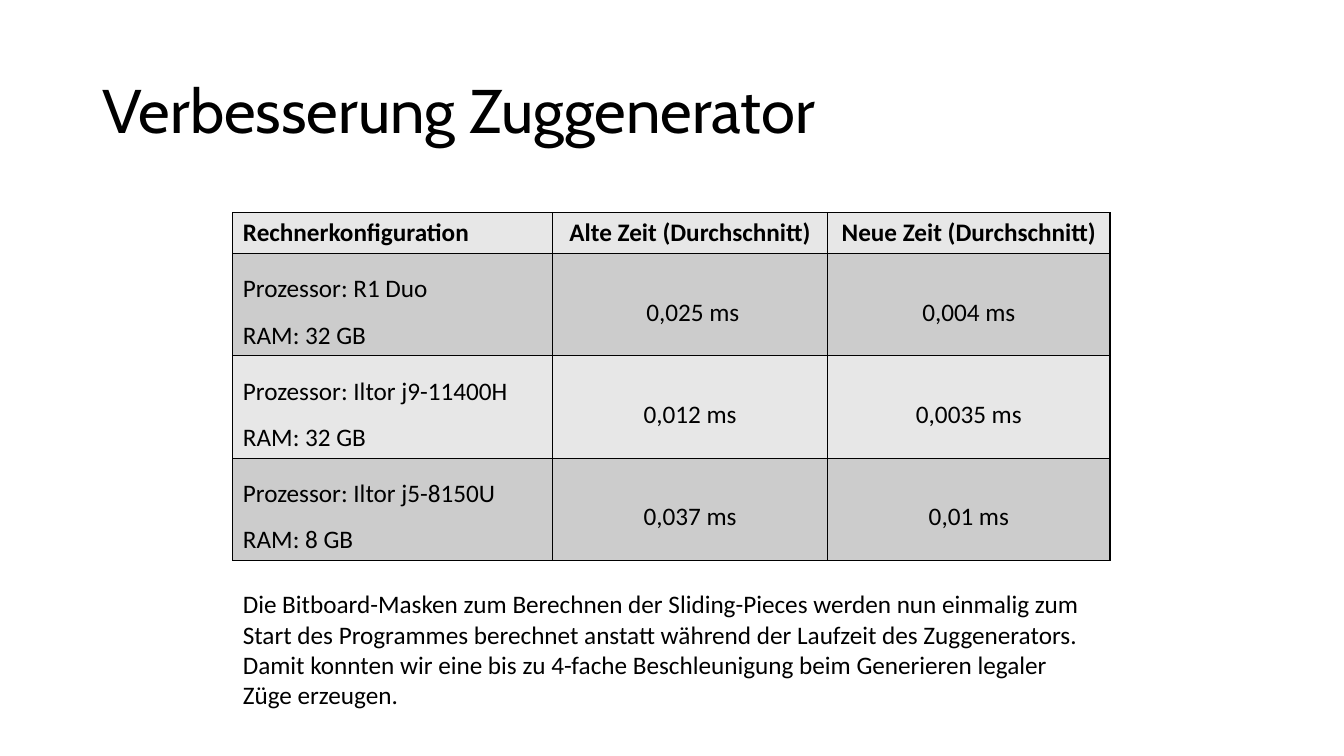
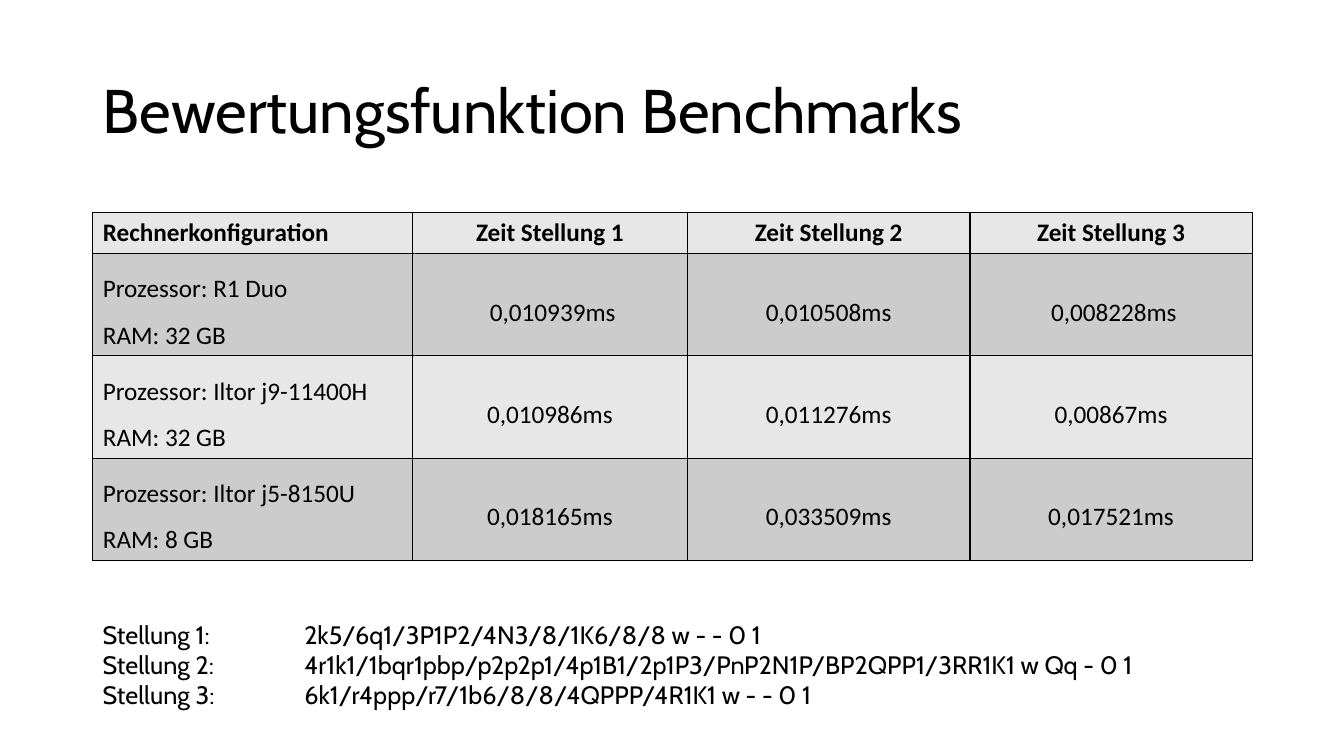
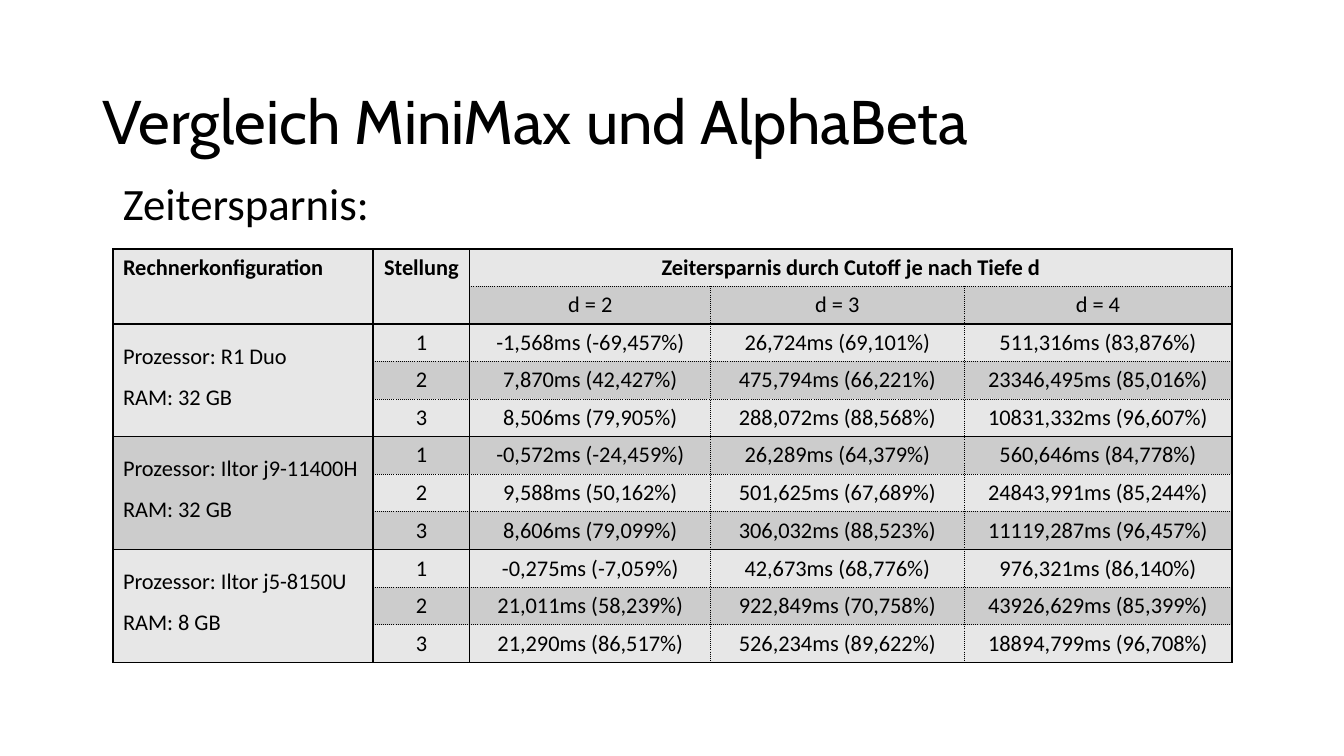
"""Builds three benchmark slides for a chess engine."""
from dataclasses import dataclass

from lxml import etree
from pptx import Presentation
from pptx import util as u
from pptx.dml.color import RGBColor
from pptx.enum import text
from pptx.oxml import ns

PX = 9144


@dataclass(frozen=True)
class Theme:
    """Colours, fonts and type sizes that the slides share."""
    ink: str = "000000"
    bands: tuple = ("E7E7E7", "CCCCCC")
    heading_font: str = "Cabin"
    body_font: str = "Calibri"
    title_size: int = 44
    subtitle_size: int = 32
    body_size: int = 18
    compact_size: int = 16
    solid_line: tuple = (1, "solid")
    dotted_line: tuple = (0.5, "sysDot")


THEME = Theme()
TITLE_BOX = (92, 40, 1150, 145)
COMPUTERS = (
    "Prozessor: R1 Duo\nRAM: 32 GB",
    "Prozessor: Iltor j9-11400H\nRAM: 32 GB",
    "Prozessor: Iltor j5-8150U\nRAM: 8 GB",
)
OLD_AND_NEW_TIMES = (
    (" 0,025 ms", "0,004 ms"),
    ("0,012 ms", "0,0035 ms"),
    ("0,037 ms", "0,01 ms"),
)
POSITION_TIMES = (
    (" 0,010939ms", "0,010508ms", " 0,008228ms"),
    ("0,010986ms", "0,011276ms", "0,00867ms"),
    ("0,018165ms", "0,033509ms", "0,017521ms"),
)
SAVINGS = (
    ("-1,568ms (-69,457%)", "26,724ms (69,101%)", "511,316ms (83,876%)"),
    ("7,870ms (42,427%)", "475,794ms (66,221%)", "23346,495ms (85,016%)"),
    ("8,506ms (79,905%)", "288,072ms (88,568%)", "10831,332ms (96,607%)"),
    ("-0,572ms (-24,459%)", "26,289ms (64,379%)", "560,646ms (84,778%)"),
    ("9,588ms (50,162%)", "501,625ms (67,689%)", "24843,991ms (85,244%)"),
    ("8,606ms (79,099%)", "306,032ms (88,523%)", "11119,287ms (96,457%)"),
    ("-0,275ms (-7,059%)", "42,673ms (68,776%)", "976,321ms (86,140%)"),
    ("21,011ms (58,239%)", "922,849ms (70,758%)", "43926,629ms (85,399%)"),
    ("21,290ms (86,517%)", "526,234ms (89,622%)", "18894,799ms (96,708%)"),
)
MASK_NOTE = (
    "Die Bitboard-Masken zum Berechnen der Sliding-Pieces werden nun einmalig "
    "zum Start des Programmes berechnet anstatt während der Laufzeit des "
    "Zuggenerators.\n"
    "Damit konnten wir eine bis zu 4-fache Beschleunigung beim Generieren "
    "legaler Züge erzeugen."
)
POSITION_NOTE = (
    "Stellung 1:\t2k5/6q1/3P1P2/4N3/8/1K6/8/8 w - - 0 1\n"
    "Stellung 2:\t4r1k1/1bqr1pbp/p2p2p1/4p1B1/2p1P3/PnP2N1P/BP2QPP1/3RR1K1 w Qq - 0 1\n"
    "Stellung 3:\t6k1/r4ppp/r7/1b6/8/8/4QPPP/4R1K1 w - - 0 1"
)


def to_emu(box):
    """Turns px lengths into EMU."""
    return [u.Emu(length * PX) for length in box]


def assign(target, values):
    """Sets attributes from a dict of format values."""
    for name, value in values.items():
        setattr(target, name, value)


def write(frame, content, font, layout=None):
    """Fills a text frame, one paragraph a line, with one format."""
    frame.text = content
    for paragraph in frame.paragraphs:
        assign(paragraph, layout or {})
        for run in paragraph.runs:
            assign(run.font, font)
            run.font.color.rgb = RGBColor.from_string(THEME.ink)


def add_titled_slide(presentation, title, box=TITLE_BOX):
    """Adds a title-only slide and places its title in the box."""
    slide = presentation.slides.add_slide(presentation.slide_layouts[5])
    shape = slide.shapes.title
    assign(shape, dict(zip(("left", "top", "width", "height"), to_emu(box))))
    write(shape.text_frame, title,
          {"name": THEME.heading_font, "size": u.Pt(THEME.title_size)},
          {"alignment": text.PP_ALIGN.LEFT, "line_spacing": 0.9})
    assign(shape.text_frame, {"vertical_anchor": text.MSO_ANCHOR.MIDDLE,
                              "auto_size": text.MSO_AUTO_SIZE.NONE})
    return slide


def add_note(slide, box, content, font_name=THEME.body_font, size=THEME.body_size, wrap=True):
    """Adds a plain text box and returns its text frame."""
    frame = slide.shapes.add_textbox(*to_emu(box)).text_frame
    write(frame, content, {"name": font_name, "size": u.Pt(size)})
    assign(frame, {"word_wrap": wrap, "auto_size": text.MSO_AUTO_SIZE.SHAPE_TO_FIT_TEXT})
    return frame


def set_tab_stop(frame, position):
    """Gives every paragraph one left tab stop."""
    for paragraph in frame.paragraphs:
        stops = etree.SubElement(paragraph._p.get_or_add_pPr(), ns.qn("a:tabLst"))
        etree.SubElement(stops, ns.qn("a:tab"), pos=str(position * PX), algn="l")


def draw_border(cell, tag, line):
    """Draws one side of a table cell."""
    width, dash = line
    border = etree.SubElement(cell._tc.get_or_add_tcPr(), ns.qn(f"a:{tag}"), w=str(u.Pt(width)))
    fill = etree.SubElement(border, ns.qn("a:solidFill"))
    etree.SubElement(fill, ns.qn("a:srgbClr"), val=THEME.ink)
    etree.SubElement(border, ns.qn("a:prstDash"), val=dash)


def add_banded_table(slide, origin, widths, heights, rows, size=THEME.body_size,
                     merges=(), spaced_columns=None, dotted_rows=(), dotted_columns=()):
    """Adds a table with grey bands and ruled or dotted cell borders."""
    box = (*origin, sum(widths), sum(heights))
    table = slide.shapes.add_table(len(rows), len(widths), *to_emu(box)).table
    assign(table, {"first_row": False, "horz_banding": False})
    for column, width in zip(table.columns, to_emu(widths)):
        column.width = width
    for table_row, height in zip(table.rows, to_emu(heights)):
        table_row.height = height
    for first, last in merges:
        table.cell(*first).merge(table.cell(*last))
    for row, contents in enumerate(rows):
        for column, content in enumerate(contents):
            cell = table.cell(row, column)
            bottom = row + (cell.span_height if cell.is_merge_origin else 1)
            right = column + (cell.span_width if cell.is_merge_origin else 1)
            for tag, edge, dotted in (("lnL", column, dotted_columns), ("lnR", right, dotted_columns),
                                      ("lnT", row, dotted_rows), ("lnB", bottom, dotted_rows)):
                draw_border(cell, tag, THEME.dotted_line if edge in dotted else THEME.solid_line)
            cell.fill.solid()
            cell.fill.fore_color.rgb = RGBColor.from_string(THEME.bands[row % 2])
            if content is None:
                continue
            is_value = row > 0 and column > 0
            is_spaced = row > 0 and (spaced_columns is None or column in spaced_columns)
            write(cell.text_frame, content,
                  {"name": THEME.body_font, "size": u.Pt(size), "bold": row == 0},
                  {"alignment": text.PP_ALIGN.CENTER if column else text.PP_ALIGN.LEFT,
                   "line_spacing": 1.5 if is_spaced else 1.0})
            cell.vertical_anchor = text.MSO_ANCHOR.MIDDLE if is_value else text.MSO_ANCHOR.TOP


def add_computer_table(slide, origin, widths, headings, times):
    """Adds a table with one row of times for each computer."""
    rows = [("Rechnerkonfiguration", *headings)]
    rows += [(computer, *values) for computer, values in zip(COMPUTERS, times)]
    add_banded_table(slide, origin, widths, (40, 101, 101, 101), rows)


def add_savings_table(slide, origin):
    """Adds the table of time saved by position and search depth."""
    rows = [
        ("Rechnerkonfiguration", "Stellung", "Zeitersparnis durch Cutoff je nach Tiefe d", None, None),
        (None, None, "d = 2", "d = 3", "d = 4"),
    ]
    for index, values in enumerate(SAVINGS):
        computer, position = divmod(index, 3)
        rows.append((None if position else COMPUTERS[computer], str(position + 1), *values))
    merges = [((0, 0), (1, 0)), ((0, 1), (1, 1)), ((0, 2), (0, 4))]
    merges += [((top, 0), (top + 2, 0)) for top in (2, 5, 8)]
    heights = [38 if row == 7 else 37 for row in range(len(rows))]
    add_banded_table(slide, origin, (258, 96, 239, 251, 266), heights, rows,
                     THEME.compact_size, merges, spaced_columns=(0,),
                     dotted_rows=(1, 3, 4, 6, 7, 9, 10), dotted_columns=(3, 4))


def build_generator_slide(presentation):
    """Builds the slide on the faster move generator."""
    slide = add_titled_slide(presentation, "Verbesserung Zuggenerator")
    add_computer_table(slide, (231, 211), (317, 273, 280),
                       ("Alte Zeit (Durchschnitt)", "Neue Zeit (Durchschnitt)"), OLD_AND_NEW_TIMES)
    add_note(slide, (231, 579, 870, 131), MASK_NOTE)


def build_evaluation_slide(presentation):
    """Builds the slide on the evaluation benchmarks."""
    slide = add_titled_slide(presentation, "Bewertungsfunktion Benchmarks")
    add_computer_table(slide, (92, 211), (317, 273, 280, 280),
                       [f"Zeit Stellung {number}" for number in (1, 2, 3)], POSITION_TIMES)
    note = add_note(slide, (92, 609, 1150, 101), POSITION_NOTE, THEME.heading_font)
    set_tab_stop(note, 200)


def build_comparison_slide(presentation):
    """Builds the slide that compares the two searches."""
    slide = add_titled_slide(presentation, "Vergleich MiniMax und AlphaBeta", (92, 53, 1150, 141))
    add_savings_table(slide, (112, 247))
    add_note(slide, (112, 169, 267, 64), "Zeitersparnis:", size=THEME.subtitle_size, wrap=False)


def main():
    """Builds and saves the presentation."""
    presentation = Presentation()
    width, height = to_emu((1333, 750))
    assign(presentation, {"slide_width": width, "slide_height": height})
    for build in (build_generator_slide, build_evaluation_slide, build_comparison_slide):
        build(presentation)
    presentation.save("out.pptx")


if __name__ == "__main__":
    main()
